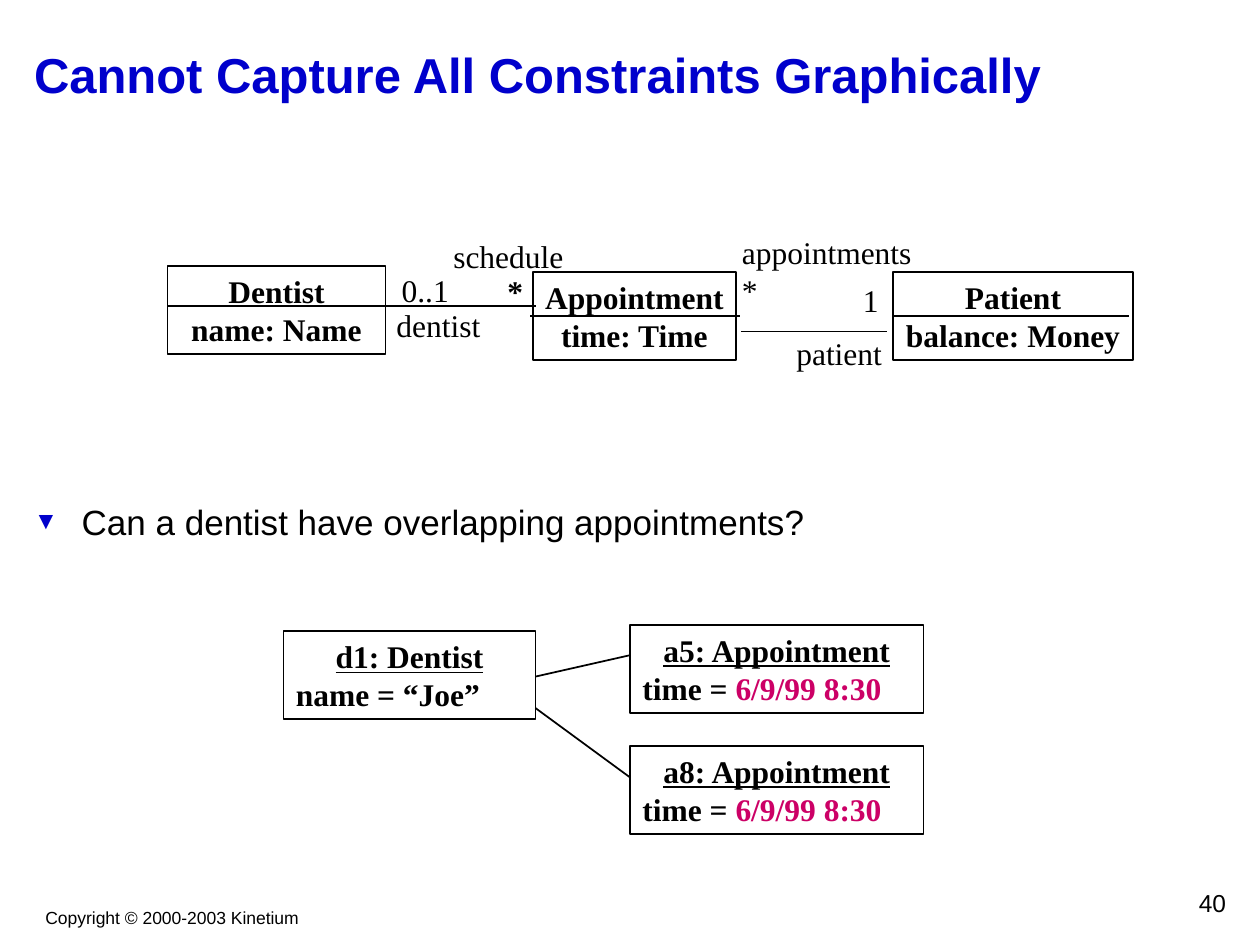
from lxml import etree
from pptx import Presentation
from pptx import util as u
from pptx.dml.color import RGBColor
from pptx.enum import shapes, text
from pptx.oxml import ns

SCALE = 9144  # EMU per px, 100 px to the inch
BLACK = RGBColor(0x00, 0x00, 0x00)
BLUE = RGBColor(0x00, 0x00, 0xCC)
PINK = RGBColor(0xCC, 0x00, 0x66)
SANS, SERIF = "Arial", "Times New Roman"
LEFT, CENTER, RIGHT = text.PP_ALIGN.LEFT, text.PP_ALIGN.CENTER, text.PP_ALIGN.RIGHT
TOP, MIDDLE = text.MSO_ANCHOR.TOP, text.MSO_ANCHOR.MIDDLE


def px(*lengths):
    return [u.Emu(length * SCALE) for length in lengths]


class Diagram:
    def __init__(self, slide):
        self.slide = slide

    def style(self, paragraph, size=18, name=SERIF, color=BLACK, bold=False, align=CENTER):
        paragraph.alignment = align
        font = paragraph.font
        font.size, font.name, font.bold = u.Pt(size), name, bold
        font.color.rgb = color

    def frame(self, shape, anchor=MIDDLE, wrap=False):
        frame = shape.text_frame
        frame.auto_size = text.MSO_AUTO_SIZE.NONE
        frame.word_wrap = wrap
        frame.vertical_anchor = anchor
        return frame

    def title(self, words, *place):
        shape = self.slide.shapes.title
        shape.left, shape.top, shape.width, shape.height = px(*place)
        frame = self.frame(shape, wrap=True)
        frame.text = words
        self.style(frame.paragraphs[0], 28, SANS, BLUE, True, LEFT)

    def label(self, words, *place, anchor=MIDDLE, wrap=False, **style):
        shape = self.slide.shapes.add_textbox(*px(*place))
        frame = self.frame(shape, anchor, wrap)
        frame.text = words
        for paragraph in frame.paragraphs:
            self.style(paragraph, **style)
        return frame

    def bullet(self, words, *place):
        paragraph = self.label(words, *place, anchor=TOP, wrap=True).paragraphs[0]
        properties = paragraph._p.get_or_add_pPr()
        properties.set("marL", str(38 * SCALE))
        properties.set("indent", str(-38 * SCALE))
        color = etree.Element(ns.qn("a:buClr"))
        etree.SubElement(color, ns.qn("a:srgbClr"), val=str(BLUE))
        marks = [
            color,
            etree.Element(ns.qn("a:buSzPct"), val="70000"),
            etree.Element(ns.qn("a:buFont"), typeface=SANS),
            etree.Element(ns.qn("a:buChar"), char="▼"),
        ]
        for position, mark in enumerate(marks):
            properties.insert(position, mark)
        self.style(paragraph, 20, SANS, align=LEFT)

    def box(self, words, *place, wrap=False):
        shape = self.slide.shapes.add_shape(shapes.MSO_SHAPE.RECTANGLE, *px(*place))
        shape.shadow.inherit = False
        shape.fill.background()
        shape.line.color.rgb = BLACK
        shape.line.width = u.Pt(1)
        frame = self.frame(shape, wrap=wrap)
        frame.text = words
        for paragraph in frame.paragraphs:
            self.style(paragraph, bold=True)
        return frame

    def instance(self, name, attribute, value, *place, color=BLACK):
        heading, detail = self.box(f"{name}\n{attribute} = ", *place, wrap=True).paragraphs
        heading.font.underline = True
        detail.alignment = LEFT
        run = detail.add_run()
        run.text = value
        run.font.color.rgb = color

    def line(self, *ends):
        connector = self.slide.shapes.add_connector(shapes.MSO_CONNECTOR.STRAIGHT, *px(*ends))
        connector.line.color.rgb = BLACK
        connector.line.width = u.Pt(1)
        etree.SubElement(connector._element.spPr, ns.qn("a:effectLst"))


def main():
    presentation = Presentation()
    presentation.slide_width, presentation.slide_height = px(1000, 750)
    diagram = Diagram(presentation.slides.add_slide(presentation.slide_layouts[5]))

    # Title and question
    diagram.title("Cannot Capture All Constraints Graphically", 17, 17, 967, 83)
    diagram.bullet("Can a dentist have overlapping appointments?", 17, 392, 967, 300)

    # Class boxes with their dividers
    diagram.box("Dentist\nname: Name", 133, 211, 173, 70)
    diagram.box("Appointment\ntime: Time", 423, 216, 161, 70)
    diagram.box("Patient\nbalance: Money", 709, 216, 190, 70)
    diagram.line(133, 243, 308, 243)
    diagram.line(421, 251, 587, 251)
    diagram.line(708, 251, 896, 251)

    # Associations between classes
    diagram.line(425, 243, 308, 243)
    diagram.line(588, 263, 704, 263)
    diagram.label("schedule", 350, 183, 107, 40)
    diagram.label("0..1", 309, 210, 57, 40)
    diagram.label("*", 393, 211, 32, 40, bold=True)
    diagram.label("dentist", 305, 238, 86, 40)
    diagram.label("appointments\n*", 579, 180, 154, 70, align=LEFT)
    diagram.label("1", 675, 218, 32, 40)
    diagram.label("patient", 622, 260, 88, 40)

    # Object instances and links
    diagram.instance("d1: Dentist", "name", "“Joe”", 225, 501, 200, 70)
    for name, top in (("a5: Appointment", 496), ("a8: Appointment", 592)):
        diagram.instance(name, "time", "6/9/99 8:30", 500, top, 233, 70, color=PINK)
    diagram.line(425, 537, 500, 520)
    diagram.line(500, 617, 425, 562)

    # Footer
    diagram.label("Copyright © 2000-2003 Kinetium", 26, 715, 221, 27,
                  anchor=TOP, size=10, name=SANS)
    diagram.label("40", 775, 700, 208, 33,
                  anchor=TOP, wrap=True, size=14, name=SANS, align=RIGHT)

    presentation.save("out.pptx")


if __name__ == "__main__":
    main()
